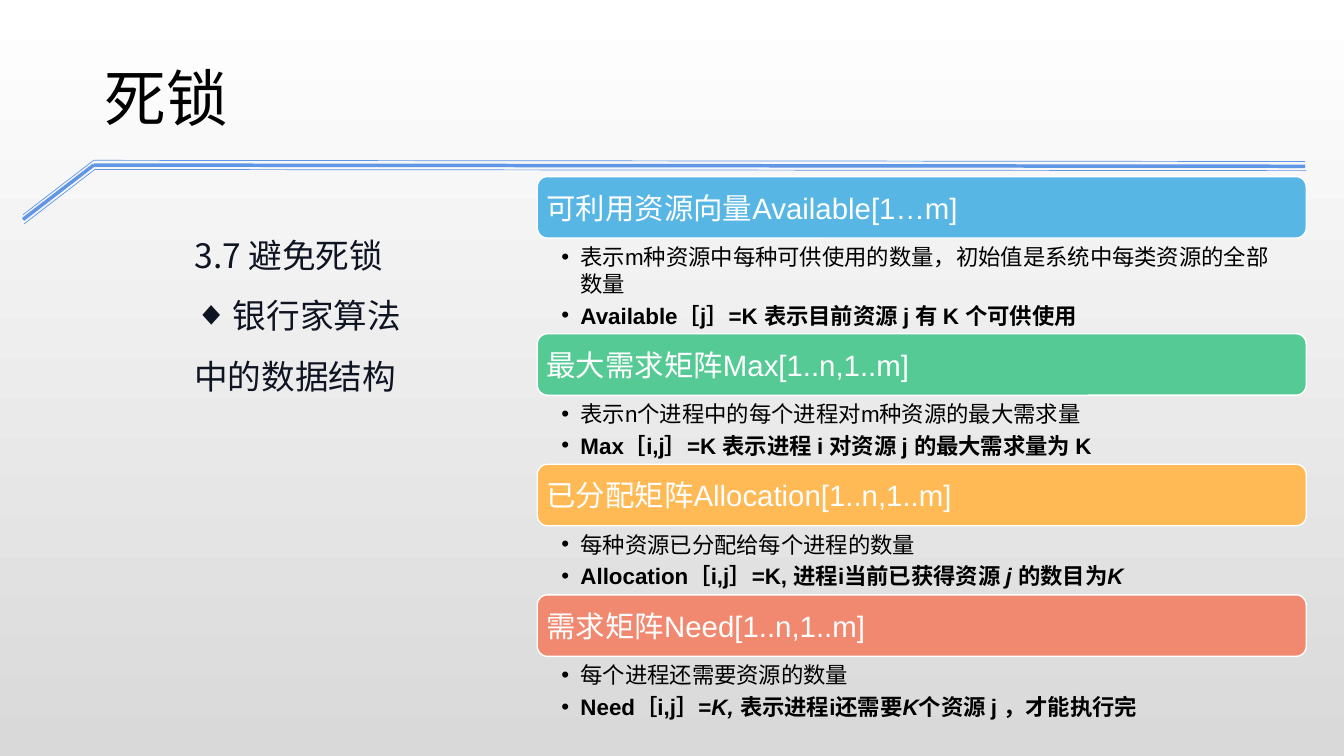
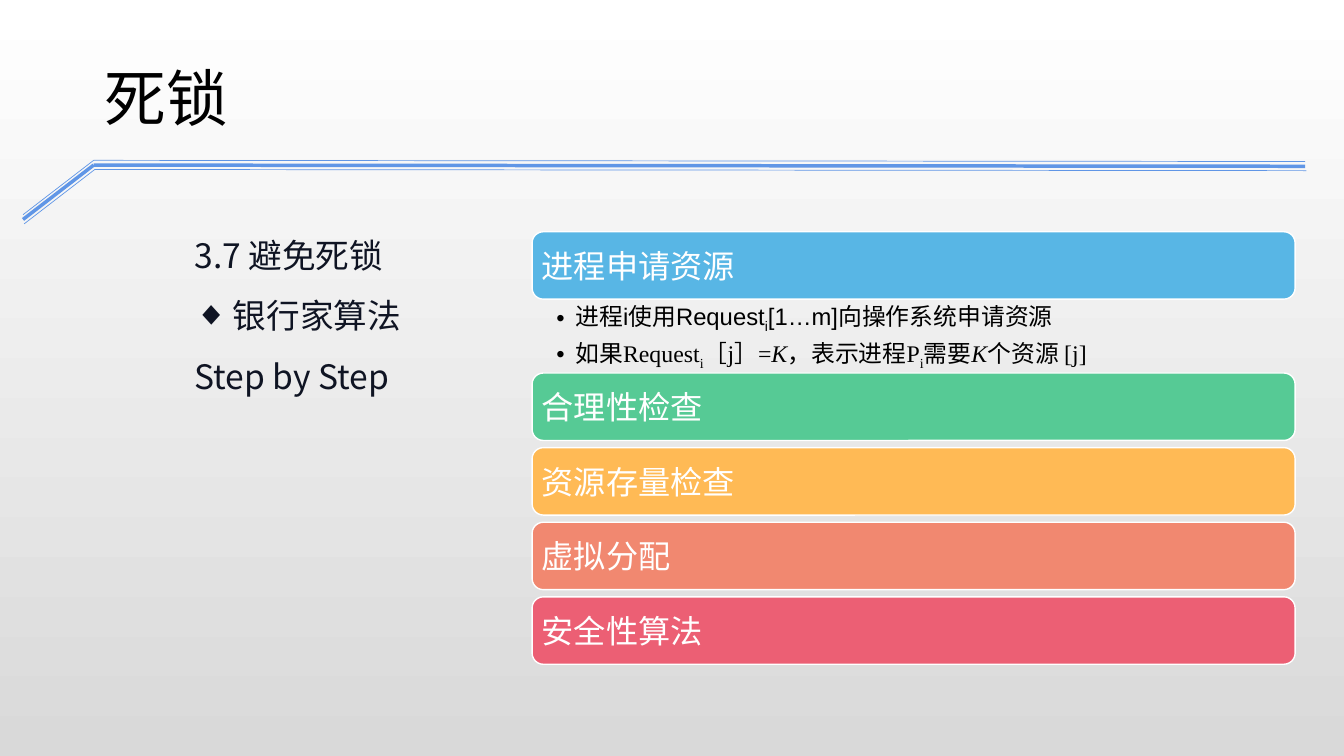
from dataclasses import dataclass

from lxml import etree
from pptx import Presentation
from pptx.dml.color import RGBColor
from pptx.enum.lang import MSO_LANGUAGE_ID as Language
from pptx.enum.shapes import MSO_CONNECTOR as Connector, MSO_SHAPE as Preset
from pptx.enum.text import MSO_ANCHOR as Anchor, PP_ALIGN as Align
from pptx.oxml.ns import qn
from pptx.util import Cm, Pt


# Theme
@dataclass(frozen=True)
class Theme:
    top: str = "FFFFFF"
    bottom: str = "D9D9D9"
    rule: str = "6096E6"
    black: str = "000000"
    white: str = "FFFFFF"
    outline: str = "0F1423"
    cards: tuple = ("58B6E5", "56CA95", "FFBA55", "F18870", "EC5F74")
    asian: str = "Noto Sans CJK JP"
    sans: str = "Arial"
    serif: str = "Times New Roman"
    title_size: int = 44
    outline_size: int = 24


THEME = Theme()

# Content: run styles are b bold, i italic, s subscript, t serif
TITLE = "死锁"
SECTION = "3.7 避免死锁"
TOPIC = "银行家算法"
SLIDES = [
    {
        "subtopic": "中的数据结构",
        "left": 13.54, "top": 4.45, "width": 19.38, "header": 1.55, "gap": 0,
        "header_size": 21, "size": 16, "leading": 19.4, "after": 3.2, "inset": 0.12,
        "cards": [
            ("可利用资源向量Available[1…m]", 2.41, [
                [("表示m种资源中每种可供使用的数量，初始值是系统中每类资源的全部数量", "")],
                [("Available［j］=K 表示目前资源 j 有 K 个可供使用", "b")],
            ]),
            ("最大需求矩阵Max[1..n,1..m]", 1.74, [
                [("表示n个进程中的每个进程对m种资源的最大需求量", "")],
                [("Max［i,j］=K 表示进程 i 对资源 j 的最大需求量为 K", "b")],
            ]),
            ("已分配矩阵Allocation[1..n,1..m]", 1.74, [
                [("每种资源已分配给每个进程的数量", "")],
                [("Allocation［i,j］=K, 进程i当前已获得资源 ", "b"), ("j ", "bi"),
                 ("的数目为", "b"), ("K", "bi")],
            ]),
            ("需求矩阵Need[1..n,1..m]", 1.74, [
                [("每个进程还需要资源的数量", "")],
                [("Need［i,j］=", "b"), ("K, ", "bi"), ("表示进程i还需要", "b"),
                 ("K", "bi"), ("个资源 j ，才能执行完", "b")],
            ]),
        ],
    },
    {
        "subtopic": "Step by Step",
        "left": 13.41, "top": 5.84, "width": 19.23, "header": 1.7, "gap": 0.18,
        "header_size": 23, "size": 17, "leading": 22.6, "after": 3.8, "inset": 0.08,
        "cards": [
            ("进程申请资源", 1.86, [
                [("进程i使用Request", ""), ("i", "s"), ("[1…m]向操作系统申请资源", "")],
                [("如果Request", "t"), ("i", "ts"), ("［j］=", "t"), ("K", "ti"),
                 ("，表示进程P", "t"), ("i", "ts"), ("需要", "t"), ("K", "ti"),
                 ("个资源 [j]", "t")],
            ]),
            ("合理性检查", 0, []),
            ("资源存量检查", 0, []),
            ("虚拟分配", 0, []),
            ("安全性算法", 0, []),
        ],
    },
]

# Title rule: a bent line, repeated with (right, down, weight) shifts
RULE_POINTS = [(0.58, 5.41), (2.36, 4.04), (32.89, 4.07)]
RULE_SHIFTS = [(0, 0, 0.5), (0, 0.12, 2.5), (0.03, 0.23, 0.5)]


def color(value):
    return RGBColor.from_string(value)


# Text helpers
def format_run(run, size, shade, latin, style=""):
    font = run.font
    font.size, font.name = Pt(size), latin
    font.bold, font.italic = "b" in style, "i" in style
    font.color.rgb = color(shade)
    font.language_id = Language.SIMPLIFIED_CHINESE
    properties = run._r.get_or_add_rPr()
    etree.SubElement(properties, qn("a:ea")).set("typeface", THEME.asian)
    if "s" in style:
        properties.set("baseline", "-25000")


def add_bullet(paragraph, symbol, indent):
    properties = paragraph._p.get_or_add_pPr()
    properties.set("marL", str(Cm(indent)))
    properties.set("indent", str(-Cm(indent)))
    etree.SubElement(properties, qn("a:buFont")).set("typeface", THEME.sans)
    etree.SubElement(properties, qn("a:buChar")).set("char", symbol)


def set_margins(frame, left, top, right, bottom):
    frame.margin_left, frame.margin_top = Cm(left), Cm(top)
    frame.margin_right, frame.margin_bottom = Cm(right), Cm(bottom)


def add_text_box(slide, left, top, width, height):
    frame = slide.shapes.add_textbox(Cm(left), Cm(top), Cm(width), Cm(height)).text_frame
    frame.word_wrap = True
    return frame


# Shared slide parts
def paint_background(slide):
    fill = slide.background.fill
    fill.gradient()
    fill.gradient_angle = 270
    for stop, shade in zip(fill.gradient_stops, (THEME.top, THEME.bottom)):
        stop.color.rgb = color(shade)


def add_title_rule(slide):
    for right, down, weight in RULE_SHIFTS:
        points = [(Cm(x + right), Cm(y + down)) for x, y in RULE_POINTS]
        for start, end in zip(points, points[1:]):
            line = slide.shapes.add_connector(Connector.STRAIGHT, *start, *end)
            line.line.color.rgb = color(THEME.rule)
            line.line.width = Pt(weight)
            etree.SubElement(line._element.spPr, qn("a:effectLst"))


def add_title(slide):
    paragraph = add_text_box(slide, 2.39, 1.6, 24.18, 4.01).paragraphs[0]
    paragraph.text = TITLE
    paragraph.line_spacing = 0.9
    format_run(paragraph.runs[0], THEME.title_size, THEME.black, THEME.asian)


def add_outline(slide, subtopic):
    frame = add_text_box(slide, 4.65, 5.28, 28.27, 4.9)
    frame.text = "\n".join((SECTION, TOPIC, subtopic))
    add_bullet(frame.paragraphs[1], "◆", 0.97)
    for paragraph in frame.paragraphs:
        paragraph.alignment = Align.JUSTIFY
        paragraph.line_spacing = Pt(43.2)
        format_run(paragraph.runs[0], THEME.outline_size, THEME.outline, THEME.asian)


# Cards
def add_header(slide, content, top, text, shade):
    shape = slide.shapes.add_shape(
        Preset.ROUNDED_RECTANGLE, Cm(content["left"]), Cm(top),
        Cm(content["width"]), Cm(content["header"]))
    shape.shadow.inherit = False
    shape.fill.solid()
    shape.fill.fore_color.rgb = color(shade)
    shape.line.color.rgb = color(THEME.white)
    shape.line.width = Pt(1)
    frame = shape.text_frame
    frame.text = text
    frame.word_wrap = True
    frame.vertical_anchor = Anchor.MIDDLE
    set_margins(frame, 0.16, 0.1, 0.16, 0.1)
    frame.paragraphs[0].alignment = Align.LEFT
    format_run(frame.paragraphs[0].runs[0], content["header_size"], THEME.white, THEME.sans)


def add_details(slide, content, top, height, details):
    frame = add_text_box(slide, content["left"], top, content["width"], height)
    set_margins(frame, 0.61, content["inset"], 0.42, 0.08)
    for index, pieces in enumerate(details):
        paragraph = frame.add_paragraph() if index else frame.paragraphs[0]
        add_bullet(paragraph, "•", 0.48)
        paragraph.line_spacing = Pt(content["leading"])
        paragraph.space_after = Pt(content["after"])
        for text, style in pieces:
            run = paragraph.add_run()
            run.text = text
            latin = THEME.serif if "t" in style else THEME.sans
            format_run(run, content["size"], THEME.black, latin, style)


def add_cards(slide, content):
    top = content["top"]
    for (header, height, details), shade in zip(content["cards"], THEME.cards):
        add_header(slide, content, top, header, shade)
        top += content["header"]
        if details:
            add_details(slide, content, top, height, details)
        top += height or content["gap"]


def main():
    presentation = Presentation()
    presentation.slide_width, presentation.slide_height = Cm(33.87), Cm(19.05)
    for content in SLIDES:
        slide = presentation.slides.add_slide(presentation.slide_layouts[6])
        paint_background(slide)
        add_title_rule(slide)
        add_outline(slide, content["subtopic"])
        add_title(slide)
        add_cards(slide, content)
    presentation.save("out.pptx")


if __name__ == "__main__":
    main()
